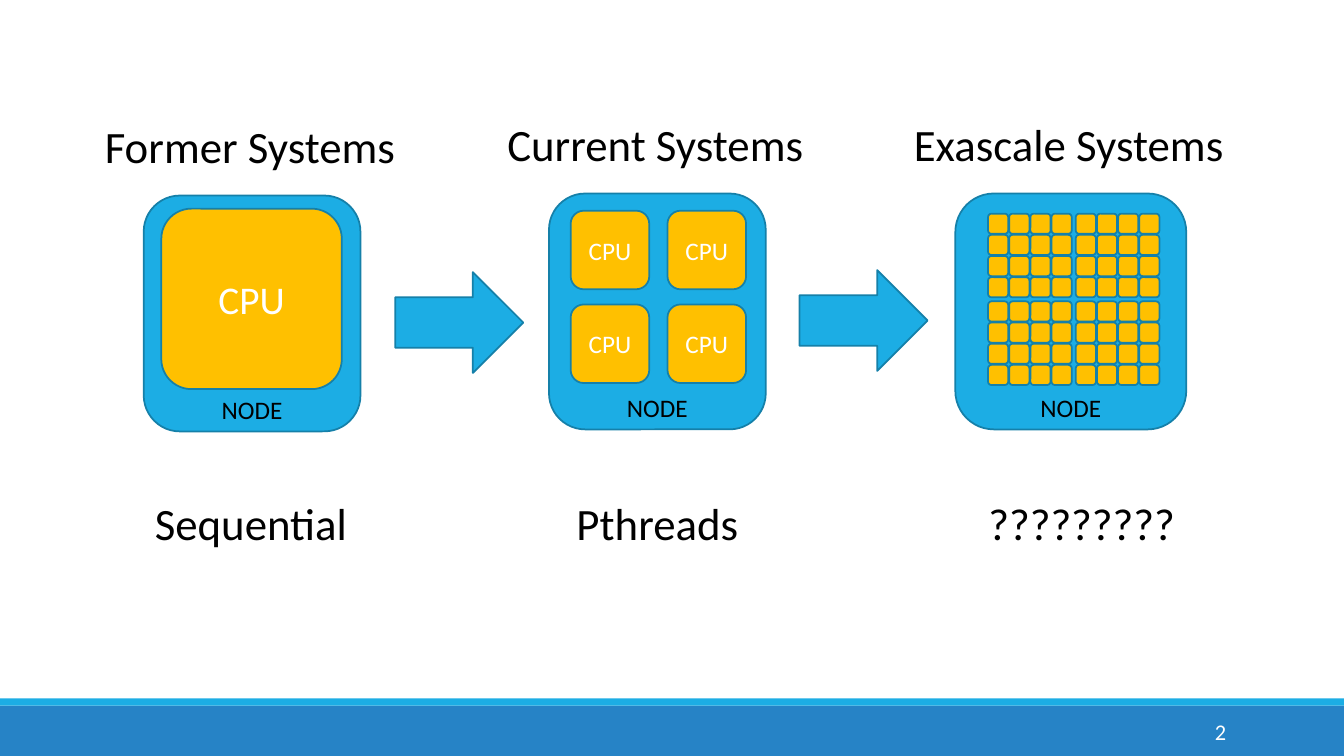
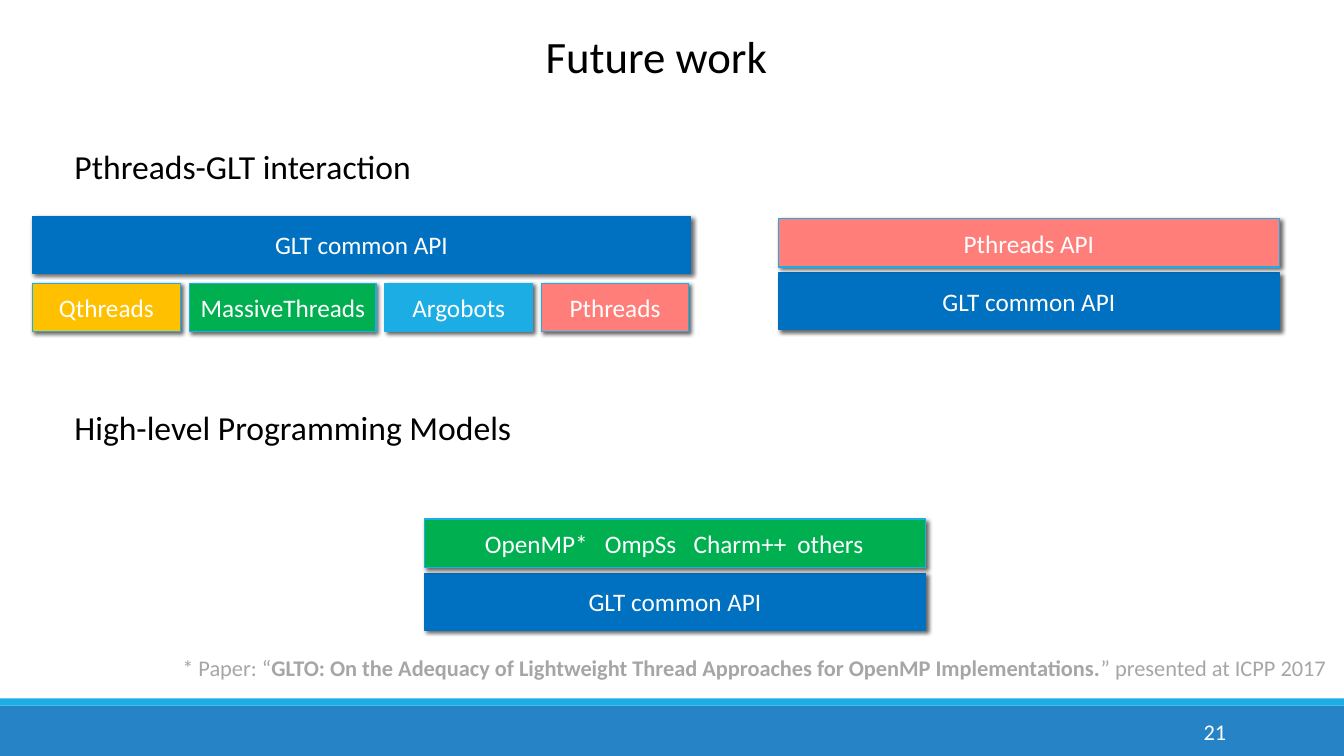
"""Builds two slides on threading systems and future work."""
import itertools

import lxml.etree
import pptx
import pptx.dml.color
import pptx.enum.shapes
import pptx.enum.text
import pptx.oxml.ns
import pptx.util

Inches, Pt = pptx.util.Inches, pptx.util.Pt
Shape = pptx.enum.shapes.MSO_SHAPE
Align = pptx.enum.text.PP_ALIGN
Anchor = pptx.enum.text.MSO_ANCHOR

THEME = {
    "font": "Calibri",
    "colors": {"accent": "1CADE4", "band": "2683C6", "edge": "1580A9", "gold": "FFC000", "blue": "0070C0",
               "green": "00B050", "coral": "FF7E79", "black": "000000", "white": "FFFFFF", "gray": "A6A6A6"},
    "sizes": {"title": 32, "cpu": 28, "section": 24, "label": 18, "small": 16},
}
WIDTH, HEIGHT = 13.33, 7.5
BANDS = [("band", 7, 0.5), ("accent", 6.93, 0.07)]
PAGE_NUMBERS = ["2", "21"]

SYSTEMS = [
    {"heading": "Former Systems", "outcome": "Sequential", "center": 2.5, "outcome_center": 2.49,
     "top": 1.94, "width": 2.15, "cores": {"count": 1, "size": 1.79, "origin": (1.6, 2.07), "pitch": (0, 0),
                                           "text": "CPU", "type_size": "cpu"}},
    {"heading": "Current Systems", "outcome": "Pthreads", "center": 6.52, "outcome_center": 6.52,
     "top": 1.92, "width": 2.15, "cores": {"count": 2, "size": 0.78, "origin": (5.66, 2.09), "pitch": (0.96, 0.93),
                                           "text": "CPU", "type_size": "label"}},
    {"heading": "Exascale Systems", "outcome": "?????????", "center": 10.62, "outcome_center": 10.73,
     "top": 1.92, "width": 2.29, "cores": {"count": 8, "size": 0.2, "origin": (9.8, 2.12), "pitch": (0.21, 0.21),
                                           "block_gap": 0.03, "text": "", "type_size": "label"}},
]
NODE_HEIGHT = 2.34
ARROW_LEFTS = [3.92, 7.93]

TITLE = "Future work"
SECTIONS = [("Pthreads-GLT interaction", 1.4), ("High-level Programming Models", 3.99)]
COMMON_API = "GLT common API"
LIBRARIES = [("Qthreads", "gold", 1.47), ("MassiveThreads", "green", 1.85),
             ("Argobots", "accent", 1.46), ("Pthreads", "coral", 1.46)]
LIBRARY_GAP = 0.09
STACKS = [(["Pthreads API"], "coral", 7.72, 2.17),
          (["OpenMP*", "OmpSs", "Charm++", "others"], "green", 4.21, 5.15)]
MODEL_INSET, MODEL_TABS = 0.6, [1.19, 2.07, 3.1]
FOOTNOTE = [("* Paper: “", False),
            ("GLTO: On the Adequacy of Lightweight Thread Approaches for OpenMP Implementations.", True),
            ("” presented at ICPP 2017", False)]


def color(name):
    return pptx.dml.color.RGBColor.from_string(THEME["colors"][name])


def write(box, spans, size, ink, align=Align.CENTER, anchor=Anchor.MIDDLE, **frame_format):
    frame = box.text_frame
    for key, value in {"word_wrap": True, "vertical_anchor": anchor, **frame_format}.items():
        setattr(frame, key, value)
    para = frame.paragraphs[0]
    para.alignment = align
    for text, bold in spans:
        span = para.add_run()
        span.text = text
        values = {"name": THEME["font"], "size": Pt(THEME["sizes"][size]), "bold": bold}
        for key, value in values.items():
            setattr(span.font, key, value)
        span.font.color.rgb = color(ink)
    return para


def add_text(page, spans, place, size, ink="black", align=Align.LEFT, anchor=Anchor.TOP):
    box = page.shapes.add_textbox(*map(Inches, place))
    write(box, spans, size, ink, align, anchor)


def add_box(shapes, kind, place, fill, edge=None, weight=1.25):
    box = shapes.add_shape(kind, *map(Inches, place))
    box.shadow.inherit = False
    box.fill.solid()
    box.fill.fore_color.rgb = color(fill)
    if edge:
        box.line.color.rgb = color(edge)
        box.line.width = Pt(weight)
    else:
        box.line.fill.background()
    return box


def add_child(parent, tag, **attributes):
    return lxml.etree.SubElement(parent, pptx.oxml.ns.qn(tag), attributes)


def add_layer(page, texts, place, fill, edge="accent"):
    box = add_box(page.shapes, Shape.RECTANGLE, place, fill, edge, 1)
    effects = box.element.spPr.find(pptx.oxml.ns.qn("a:effectLst"))
    shadow = add_child(effects, "a:outerShdw", blurRad=str(Pt(3)), dist=str(Pt(2)), dir="2700000", rotWithShape="0")
    add_child(add_child(shadow, "a:srgbClr", val=THEME["colors"]["black"]), "a:alpha", val="60000")
    tabbed = len(texts) > 1
    if tabbed:
        tabs = add_child(box.text_frame.paragraphs[0]._p.get_or_add_pPr(), "a:tabLst")
        for stop in MODEL_TABS:
            add_child(tabs, "a:tab", pos=str(Inches(stop)), algn="l")
    write(box, [("\t".join(texts), False)], "label", "white", Align.LEFT if tabbed else Align.CENTER,
          margin_left=Inches(MODEL_INSET if tabbed else 0), margin_right=0)


def add_cores(page, cores):
    group = page.shapes.add_group_shape()
    size, gap = cores["size"], cores.get("block_gap", 0)
    for row, column in itertools.product(range(cores["count"]), repeat=2):
        left, top = (start + step * index + gap * (index // 4)
                     for start, step, index in zip(cores["origin"], cores["pitch"], (column, row)))
        core = add_box(group.shapes, Shape.ROUNDED_RECTANGLE, (left, top, size, size), "gold", "edge")
        if cores["text"]:
            write(core, [(cores["text"], False)], cores["type_size"], "white", margin_left=0, margin_right=0)


def build_systems(page):
    for system in SYSTEMS:
        center, top, width = system["center"], system["top"], system["width"]
        node = (center - width / 2, top, width, NODE_HEIGHT)
        add_box(page.shapes, Shape.ROUNDED_RECTANGLE, node, "accent", "edge")
        add_cores(page, system["cores"])
        captions = [(system["heading"], center - 0.02, top - 0.81, 3.6, 0.64, "title"),
                    ("NODE", center, top + 1.92, 1.2, 0.4, "label"),
                    (system["outcome"], system["outcome_center"], 4.87, 3, 0.64, "title")]
        for text, middle, caption_top, span_width, height, size in captions:
            place = (middle - span_width / 2, caption_top, span_width, height)
            add_text(page, [(text, False)], place, size, align=Align.CENTER)
    for left, system in zip(ARROW_LEFTS, SYSTEMS):
        add_box(page.shapes, Shape.RIGHT_ARROW, (left, system["top"] + 0.76, 1.27, 1), "accent", "edge")


def build_future(page):
    title = page.shapes.title
    for key, value in zip(("left", "top", "width", "height"), (1.92, 0.23, 9.18, 0.64)):
        setattr(title, key, Inches(value))
    write(title, [(TITLE, False)], "title", "black")
    for text, top in SECTIONS:
        add_text(page, [(text, False)], (0.64, top, 5, 0.5), "section")
    add_layer(page, [COMMON_API], (0.32, 2.15, 6.53, 0.56), "blue", "blue")
    left = 0.32
    for text, fill, width in LIBRARIES:
        add_layer(page, [text], (left, 2.81, width, 0.48), fill)
        left += width + LIBRARY_GAP
    for texts, fill, left, top in STACKS:
        add_layer(page, [COMMON_API], (left, top + 0.54, 4.97, 0.56), "blue", "blue")
        add_layer(page, texts, (left, top, 4.97, 0.48), fill)
    add_text(page, FOOTNOTE, (1.71, 6.44, WIDTH - 1.71, 0.37), "small", "gray")


def add_master_bands(deck, page):
    tree = deck.slide_master.element.cSld.spTree
    for position, (fill, top, height) in enumerate(BANDS, start=2):
        band = add_box(page.shapes, Shape.RECTANGLE, (0, top, WIDTH, height), fill)
        tree.insert(position, band.element)


def main():
    deck = pptx.Presentation()
    deck.slide_width, deck.slide_height = Inches(WIDTH), Inches(HEIGHT)
    title_only, blank = deck.slide_layouts[5], deck.slide_layouts[6]
    pages = [deck.slides.add_slide(layout) for layout in (blank, title_only)]
    add_master_bands(deck, pages[0])
    for page, build, number in zip(pages, (build_systems, build_future), PAGE_NUMBERS):
        build(page)
        add_text(page, [(number, False)], (10.83, 7.06, 1.43, 0.4), "small", "white", Align.RIGHT, Anchor.MIDDLE)
    deck.save("out.pptx")


if __name__ == "__main__":
    main()
